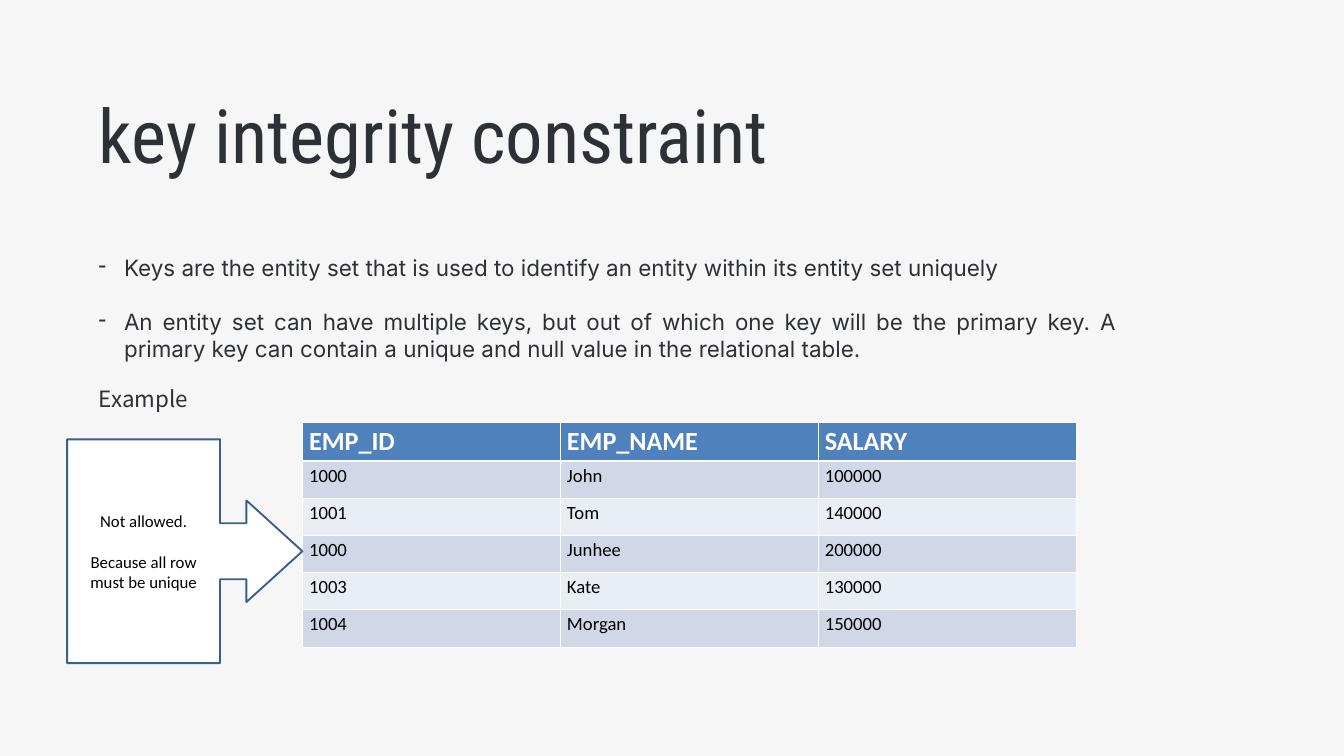
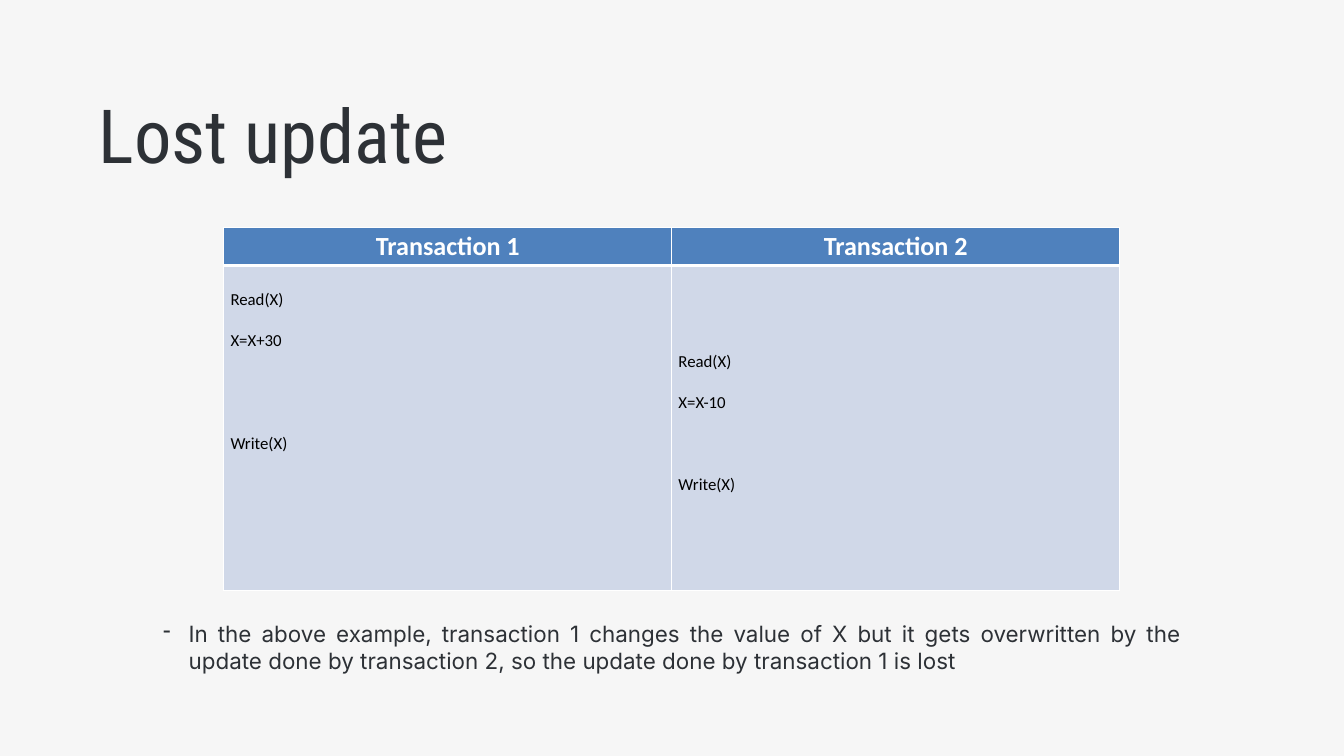
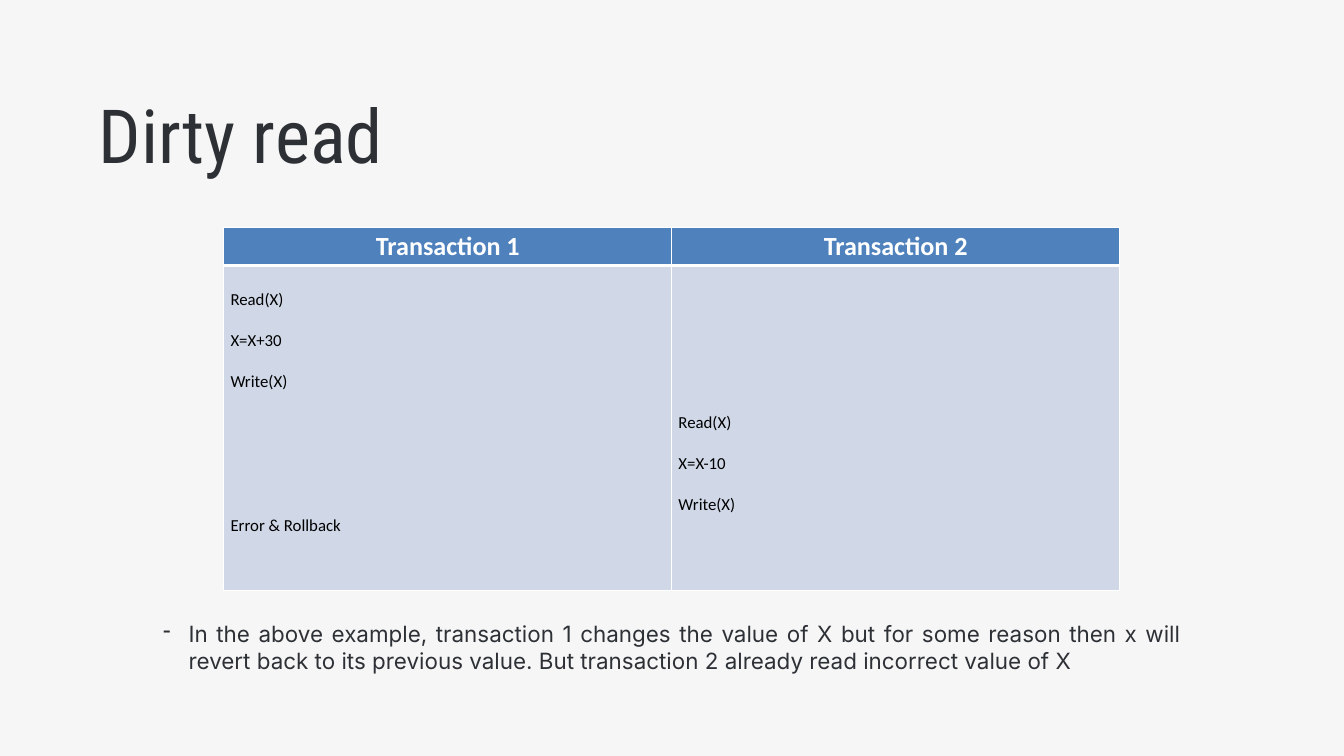
from lxml import etree
from pptx import Presentation
from pptx.dml.color import RGBColor
from pptx.enum.shapes import MSO_SHAPE
from pptx.enum.text import MSO_ANCHOR, MSO_AUTO_SIZE, PP_ALIGN
from pptx.oxml.ns import qn
from pptx.util import Cm, Pt

LEFT, CENTER, JUSTIFY = PP_ALIGN.LEFT, PP_ALIGN.CENTER, PP_ALIGN.JUSTIFY
MIDDLE = MSO_ANCHOR.MIDDLE
GROW = MSO_AUTO_SIZE.SHAPE_TO_FIT_TEXT
CALLOUT = MSO_SHAPE.RIGHT_ARROW_CALLOUT

COLORS = {
    "page": "F6F6F6", "ink": "2D3136", "white": "FFFFFF", "black": "000000",
    "header": "4F81BD", "band": "D0D8E8", "light band": "E9EDF4",
    "outline": "3A5F8C",
}
TITLE_FONT, BODY_FONT, TABLE_FONT = "Roboto Condensed", "Inter", "Calibri"
EXAMPLE_FONT = "Noto Sans CJK KR"

# Boxes are left, top, width, height in centimetres
TITLE_BOX = (3.48, 3.25, 33.35, 3.68)
KEYS_BOX = (3.48, 9.5, 38.96, 6.4)
EMPLOYEE_BOX = (11.43, 15.98, 29.24, 8.48)
CALLOUT_BOX = (2.54, 16.61, 8.89, 8.46)
SCHEDULE_BOX = (8.46, 8.59, 33.86, 13.74)
NOTE_BOX = (5.92, 23.32, 38.96, 2.31)

HEADER_HEIGHT = 1.45
STEP_PITCH = 22  # points from one line of a schedule to the next
CELL_MARGIN = Pt(3.6)

EMPLOYEES = [
    ("EMP_ID", "EMP_NAME", "SALARY"),
    ("1000", "John", "100000"),
    ("1001", "Tom", "140000"),
    ("1000", "Junhee", "200000"),
    ("1003", "Kate", "130000"),
    ("1004", "Morgan", "150000"),
]

# Each transaction lists its steps as (time line, action)
ANOMALIES = [
    ("Lost update",
     [[(1, "Read(X)"), (3, "X=X+30"), (8, "Write(X)")],
      [(4, "Read(X)"), (6, "X=X-10"), (10, "Write(X)")]],
     "In the above example, transaction 1 changes the value of X but it gets "
     "overwritten by the update done by transaction 2, so the update done by "
     "transaction 1 is lost"),
    ("Dirty read",
     [[(1, "Read(X)"), (3, "X=X+30"), (5, "Write(X)"), (12, "Error & Rollback")],
      [(7, "Read(X)"), (9, "X=X-10"), (11, "Write(X)")]],
     "In the above example, transaction 1 changes the value of X but for some "
     "reason then x will revert back to its previous value. But transaction 2 "
     "already read incorrect value of X"),
]


def color(name):
    return RGBColor.from_string(COLORS[name])


def write(frame, text, size=24, font=BODY_FONT, ink="ink", bold=False,
          align=LEFT, before=0, bullet=None):
    """Add one paragraph, filling the empty first one if there is one."""
    para = frame.paragraphs[-1]
    if para.runs:
        para = frame.add_paragraph()
    para.alignment = align
    para.space_before = Pt(before)
    if bullet:
        properties = para._p.get_or_add_pPr()
        properties.set("marL", str(Cm(0.96)))
        properties.set("indent", str(-Cm(0.96)))
        etree.SubElement(properties, qn("a:buChar")).set("char", bullet)
    span = para.add_run()
    span.text = text
    span.font.size, span.font.name, span.font.bold = Pt(size), font, bold
    span.font.color.rgb = color(ink)


def add_text_frame(page, box):
    frame = page.shapes.add_textbox(*map(Cm, box)).text_frame
    frame.word_wrap = True
    frame.auto_size = GROW
    return frame


def add_page(deck, title):
    page = deck.slides.add_slide(deck.slide_layouts[6])
    page.background.fill.solid()
    page.background.fill.fore_color.rgb = color("page")
    write(add_text_frame(page, TITLE_BOX), title, size=80, font=TITLE_FONT)
    return page


def paint_cell(cell, fill, bottom=1):
    """White borders first, then the fill, as the cell format requires."""
    properties = cell._tc.get_or_add_tcPr()
    for side, width in (("L", 1), ("R", 1), ("T", 1), ("B", bottom)):
        border = etree.SubElement(properties, qn("a:ln" + side), w=str(Pt(width)))
        paint = etree.SubElement(border, qn("a:solidFill"))
        etree.SubElement(paint, qn("a:srgbClr"), val=COLORS["white"])
    cell.fill.solid()
    cell.fill.fore_color.rgb = color(fill)


def add_table(page, box, headings, row_count, align=LEFT):
    """Add a table with its heading row filled in and even rows below it."""
    table = page.shapes.add_table(row_count, len(headings), *map(Cm, box)).table
    table.horz_banding = False
    row_height = (box[3] - HEADER_HEIGHT) / (row_count - 1)
    for index, row in enumerate(table.rows):
        row.height = Cm(row_height if index else HEADER_HEIGHT)
    for cell, heading in zip(table.rows[0].cells, headings):
        paint_cell(cell, "header", bottom=3)
        write(cell.text_frame, heading, size=28, font=TABLE_FONT, ink="white",
              bold=True, align=align)
    return table


def add_employee_table(page, box):
    table = add_table(page, box, EMPLOYEES[0], len(EMPLOYEES))
    for index, record in enumerate(EMPLOYEES[1:], start=1):
        for cell, value in zip(table.rows[index].cells, record):
            paint_cell(cell, "band" if index % 2 else "light band")
            write(cell.text_frame, value, size=20, font=TABLE_FONT, ink="black")


def add_schedule_table(page, box, transactions):
    table = add_table(page, box, ("Transaction 1", "Transaction 2"), 2, CENTER)
    for cell, steps in zip(table.rows[1].cells, transactions):
        paint_cell(cell, "band")
        first_line = steps[0][0]
        cell.margin_top = CELL_MARGIN + Pt(first_line * STEP_PITCH)
        previous = first_line - 1
        for line, action in steps:
            write(cell.text_frame, action, size=18, font=TABLE_FONT, ink="black",
                  before=(line - previous - 1) * STEP_PITCH)
            previous = line


def add_callout(page, box):
    callout = page.shapes.add_shape(CALLOUT, *map(Cm, box))
    callout.shadow.inherit = False
    for index, value in enumerate((0.25, 0.227, 0.25, 0.65)):
        callout.adjustments[index] = value
    callout.fill.solid()
    callout.fill.fore_color.rgb = color("white")
    callout.line.color.rgb = color("outline")
    callout.line.width = Pt(2)
    frame = callout.text_frame
    frame.word_wrap = True
    frame.vertical_anchor = MIDDLE
    style = dict(size=18, font=TABLE_FONT, ink="black", align=CENTER)
    write(frame, "Not allowed.", **style)
    write(frame, "Because all row must be unique", before=22, **style)


def add_key_page(deck):
    page = add_page(deck, "key integrity constraint")
    frame = add_text_frame(page, KEYS_BOX)
    write(frame, "Keys are the entity set that is used to identify an entity "
          "within its entity set uniquely", align=JUSTIFY, bullet="-")
    write(frame, "An entity set can have multiple keys, but out of which one key "
          "will be the primary key. A primary key can contain a unique and null "
          "value in the relational table.", align=JUSTIFY, bullet="-", before=29)
    write(frame, "Example", font=EXAMPLE_FONT, before=25)
    add_employee_table(page, EMPLOYEE_BOX)
    add_callout(page, CALLOUT_BOX)


def add_anomaly_page(deck, title, transactions, note):
    page = add_page(deck, title)
    add_schedule_table(page, SCHEDULE_BOX, transactions)
    write(add_text_frame(page, NOTE_BOX), note, align=JUSTIFY, bullet="-")


def main():
    deck = Presentation()
    deck.slide_width, deck.slide_height = Cm(50.8), Cm(28.58)
    add_key_page(deck)
    for anomaly in ANOMALIES:
        add_anomaly_page(deck, *anomaly)
    deck.save("out.pptx")


if __name__ == "__main__":
    main()
